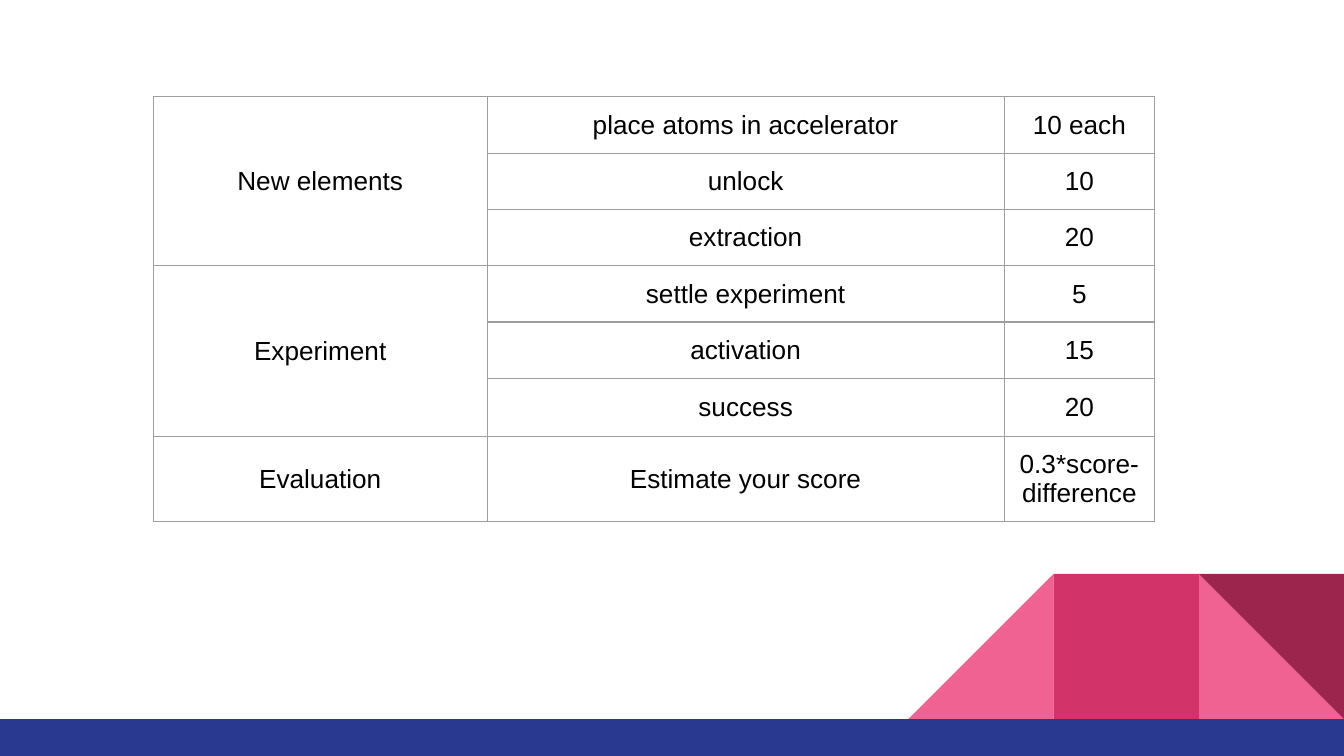
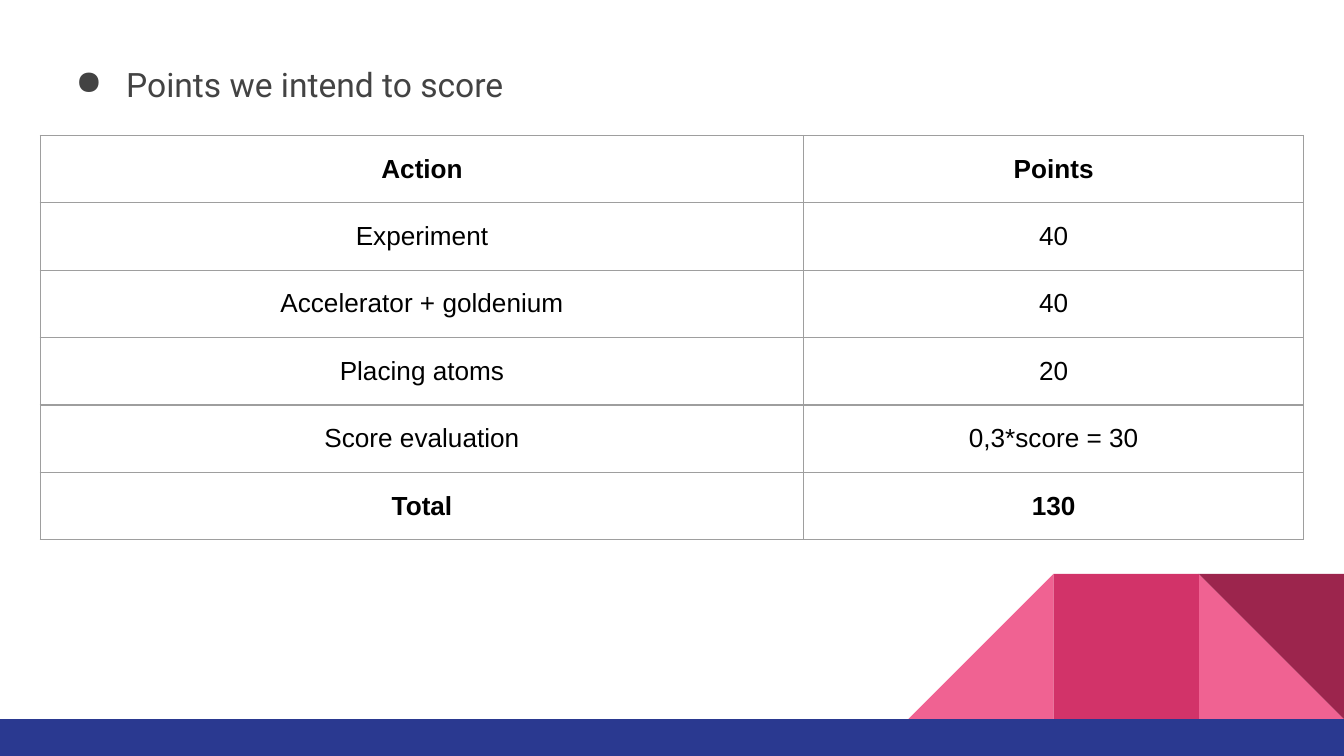
from dataclasses import dataclass

from lxml import etree
from pptx import Presentation
from pptx import util as u
from pptx.dml import color
from pptx.enum import shapes, text
from pptx.oxml import ns

Pt = u.Pt


@dataclass(frozen=True)
class Theme:
    pink: str = "F06292"
    rose: str = "D23369"
    wine: str = "9C254D"
    navy: str = "2A3990"
    white: str = "FFFFFF"
    black: str = "000000"
    gray: str = "434343"
    rule: str = "9E9E9E"
    cell_font: str = "Arial"
    body_font: str = "Roboto"
    cell_size: float = 14
    body_size: float = 18
    rule_size: float = 0.75
    inset: float = 7.2


def rgb(tone):
    return color.RGBColor.from_string(tone)


def add(parent, tag, **attrs):
    return etree.SubElement(parent, ns.qn(tag), attrs)


class Deck:
    wide, high = 720, 405
    tile, base = 77.76, 385.2

    def __init__(self, theme):
        self.theme = theme
        self.prs = Presentation()
        self.prs.slide_width = Pt(self.wide)
        self.prs.slide_height = Pt(self.high)
        self.slide = None

    def page(self):
        th = self.theme
        self.slide = self.prs.slides.add_slide(self.prs.slide_layouts[6])
        back = self.slide.background.fill
        back.solid()
        back.fore_color.rgb = rgb(th.white)
        kind = shapes.MSO_SHAPE
        tiles = [
            (1, kind.RIGHT_TRIANGLE, th.pink, 0, False),
            (3, kind.RIGHT_TRIANGLE, th.pink, 0, True),
            (2, kind.RECTANGLE, th.rose, 0, False),
            (1, kind.RIGHT_TRIANGLE, th.wine, 180, False),
        ]
        for slot, form, tone, turn, flip in tiles:
            left = self.wide - slot * self.tile
            box = (left, self.base - self.tile, self.tile, self.tile)
            self.shape(form, box, tone, turn, flip)
        band = (0, self.base, self.wide, self.high - self.base)
        self.shape(kind.RECTANGLE, band, th.navy)

    def shape(self, form, box, tone, turn=0, flip=False):
        item = self.slide.shapes.add_shape(form, *map(Pt, box))
        item.shadow.inherit = False
        item.fill.solid()
        item.fill.fore_color.rgb = rgb(tone)
        item.line.fill.background()
        item.rotation = turn
        if flip:
            item.element.spPr.find(ns.qn("a:xfrm")).set("flipH", "1")

    def run(self, para, words, font, size, tone, bold=False):
        run = para.add_run()
        run.text = words
        run.font.name = font
        run.font.size = Pt(size)
        run.font.bold = bold
        run.font.color.rgb = rgb(tone)

    def pad(self, item):
        for side in ("left", "top", "right", "bottom"):
            setattr(item, f"margin_{side}", Pt(self.theme.inset))

    def bullet(self, words, box):
        th = self.theme
        frame = self.slide.shapes.add_textbox(*map(Pt, box)).text_frame
        frame.word_wrap = True
        self.pad(frame)
        para = frame.paragraphs[0]
        para.line_spacing = 1.15
        props = para._p.get_or_add_pPr()
        props.set("marL", str(Pt(36)))
        props.set("indent", str(Pt(-27)))
        add(add(props, "a:buClr"), "a:srgbClr", val=th.gray)
        add(props, "a:buChar", char="●")
        self.run(para, words, th.body_font, th.body_size, th.gray)

    def border(self, cell):
        props = cell._tc.get_or_add_tcPr()
        for spot, side in enumerate("LRTB"):
            line = add(props, f"a:ln{side}", w=str(Pt(self.theme.rule_size)))
            add(add(line, "a:solidFill"), "a:srgbClr", val=self.theme.rule)
            props.insert(spot, line)

    def table(self, left, top, cols, highs, rows, spans=(), strong=()):
        th = self.theme
        box = (left, top, sum(cols), sum(highs))
        grid = self.slide.shapes.add_table(len(rows), len(cols), *map(Pt, box)).table
        grid.first_row = grid.horz_banding = False
        for col, wide in zip(grid.columns, cols):
            col.width = Pt(wide)
        for row, high in zip(grid.rows, highs):
            row.height = Pt(high)
        for r, row in enumerate(rows):
            for c, words in enumerate(row):
                cell = grid.cell(r, c)
                self.pad(cell)
                cell.vertical_anchor = text.MSO_ANCHOR.MIDDLE
                cell.fill.background()
                self.border(cell)
                if words:
                    para = cell.text_frame.paragraphs[0]
                    para.alignment = text.PP_ALIGN.CENTER
                    self.run(para, words, th.cell_font, th.cell_size,
                             th.black, r in strong)
        for first, last in spans:
            grid.cell(first, 0).merge(grid.cell(last, 0))


def main():
    deck = Deck(Theme())

    deck.page()
    tasks = [
        ("New elements", "place atoms in accelerator", "10 each"),
        (None, "unlock", "10"),
        (None, "extraction", "20"),
        ("Experiment", "settle experiment", "5"),
        (None, "activation", "15"),
        (None, "success", "20"),
        ("Evaluation", "Estimate your score", "0.3*score-difference"),
    ]
    deck.table(82.2, 51.9, (178.8, 277, 80.6), [30] * 5 + [31] * 2,
               tasks, spans=[(0, 2), (3, 5)])

    deck.page()
    goals = [
        ("Action", "Points"),
        ("Experiment", "40"),
        ("Accelerator + goldenium", "40"),
        ("Placing atoms", "20"),
        ("Score evaluation", "0,3*score = 30"),
        ("Total", "130"),
    ]
    deck.table(21.6, 72.6, (409, 267.8), [36.1] * len(goals), goals,
               strong=(0, len(goals) - 1))
    deck.bullet("Points we intend to score", (24.5, 23.8, 671, 44.6))

    deck.prs.save("out.pptx")


if __name__ == "__main__":
    main()
